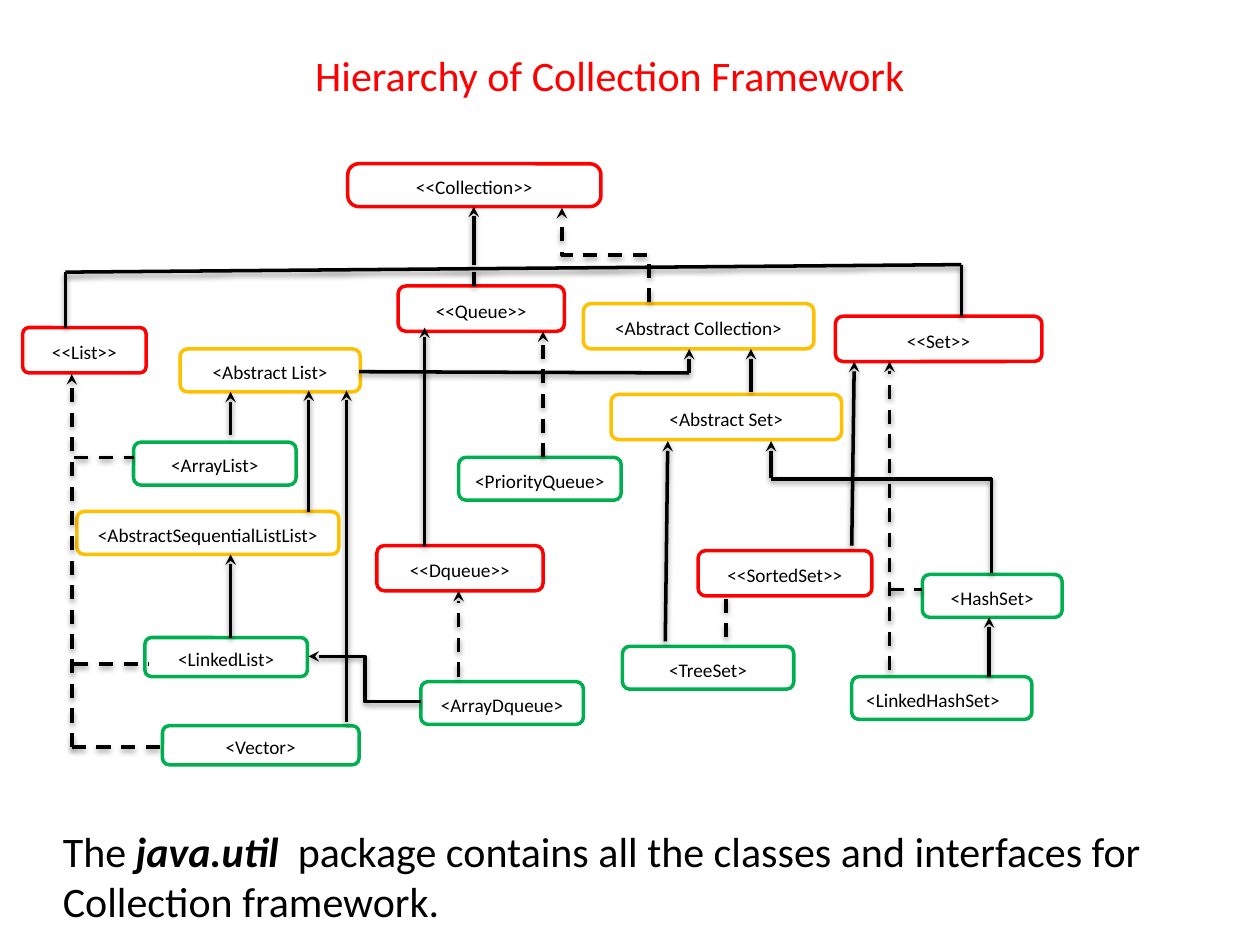
import pptx
import pptx.util
import pptx.dml.color
import pptx.enum.dml
import pptx.enum.shapes
import pptx.enum.text
import pptx.oxml
import pptx.oxml.ns

Inches, Pt = pptx.util.Inches, pptx.util.Pt
RGBColor = pptx.dml.color.RGBColor
CONNECTOR = pptx.enum.shapes.MSO_CONNECTOR
ALIGN = pptx.enum.text.PP_ALIGN
ANCHOR = pptx.enum.text.MSO_ANCHOR

RED = RGBColor(0xFF, 0x00, 0x00)
AMBER = RGBColor(0xFF, 0xC0, 0x00)
GREEN = RGBColor(0x00, 0xB0, 0x50)
BLACK = RGBColor(0x00, 0x00, 0x00)
WHITE = RGBColor(0xFF, 0xFF, 0xFF)

SHADOW = (
    f'<a:effectLst {pptx.oxml.ns.nsdecls("a")}>'
    '<a:outerShdw blurRad="40000" dist="20000" dir="5400000" rotWithShape="0">'
    '<a:srgbClr val="000000"><a:alpha val="38000"/></a:srgbClr>'
    '</a:outerShdw></a:effectLst>'
)
ARROWHEAD = f'<a:tailEnd {pptx.oxml.ns.nsdecls("a")} type="stealth"/>'


def add_run(p, text, size, color):
    r = p.add_run()
    r.text = text
    r.font.name = "Calibri"
    r.font.size = Pt(size)
    r.font.color.rgb = color
    return r


def add_line(x1, y1, x2, y2, arrow=False, dashed=False, kind=CONNECTOR.STRAIGHT):
    s = slide.shapes.add_connector(kind, Inches(x1), Inches(y1), Inches(x2), Inches(y2))
    s.line.color.rgb = BLACK
    s.line.width = Pt(2)
    if dashed:
        s.line.dash_style = pptx.enum.dml.MSO_LINE.DASH
    if arrow:
        s.line._get_or_add_ln().append(pptx.oxml.parse_xml(ARROWHEAD))
    s._element.spPr.append(pptx.oxml.parse_xml(SHADOW))
    return s


prs = pptx.Presentation()
prs.slide_width, prs.slide_height = Inches(10), Inches(7.5)
slide = prs.slides.add_slide(prs.slide_layouts[5])

# Title
s = slide.shapes.title
s.left, s.top, s.width, s.height = Inches(2.05), Inches(0.34), Inches(5.58), Inches(0.5)
tf = s.text_frame
tf.auto_size = pptx.enum.text.MSO_AUTO_SIZE.NONE
tf.vertical_anchor = ANCHOR.TOP
p = tf.paragraphs[0]
p.alignment = ALIGN.CENTER
add_run(p, "Hierarchy of Collection Framework", 24, RED)

# Type boxes: red for interfaces, amber for abstract classes, green for classes
boxes = [
    ("<<Collection>>", 2.76, 1.3, 2.01, 0.34, RED),
    ("<<List>>", 0.18, 2.6, 0.98, 0.36, RED),
    ("<<Queue>>", 3.16, 2.27, 1.32, 0.36, RED),
    ("<<Set>>", 6.63, 2.51, 1.64, 0.36, RED),
    ("<<Dqueue>>", 2.99, 4.33, 1.32, 0.36, RED),
    ("<<SortedSet>>", 5.54, 4.37, 1.38, 0.36, RED),
    ("<Abstract Collection>", 4.63, 2.41, 1.83, 0.36, AMBER),
    ("<Abstract List>", 1.43, 2.77, 1.43, 0.34, AMBER),
    ("<AbstractSequentialListList>", 0.61, 4.06, 2.08, 0.34, AMBER),
    ("<Abstract Set>", 4.85, 3.13, 1.83, 0.36, AMBER),
    ("<ArrayList>", 1.06, 3.51, 1.29, 0.34, GREEN),
    ("<LinkedList>", 1.15, 5.06, 1.29, 0.31, GREEN),
    ("<Vector>", 1.29, 5.76, 1.56, 0.31, GREEN),
    ("<PriorityQueue>", 3.64, 3.63, 1.29, 0.34, GREEN),
    ("<ArrayDqueue>", 3.34, 5.41, 1.29, 0.34, GREEN),
    ("<HashSet>", 7.32, 4.56, 1.11, 0.34, GREEN),
    ("<LinkedHashSet>", 6.76, 5.37, 1.43, 0.34, GREEN),
    ("<TreeSet>", 4.94, 5.13, 1.36, 0.34, GREEN),
]
corners = {"<<Collection>>": 0.26, "<<List>>": 0.14}
for name, x, y, w, h, color in boxes:
    s = slide.shapes.add_shape(pptx.enum.shapes.MSO_SHAPE.ROUNDED_RECTANGLE,
                               Inches(x), Inches(y), Inches(w), Inches(h))
    s.adjustments[0] = corners.get(name, 0.17)
    s.shadow.inherit = False
    s.fill.solid()
    s.fill.fore_color.rgb = WHITE
    s.line.color.rgb = color
    s.line.width = Pt(2)
    tf = s.text_frame
    tf.word_wrap = True
    tf.vertical_anchor = ANCHOR.MIDDLE
    p = tf.paragraphs[0]
    p.alignment = ALIGN.LEFT if name == "<LinkedHashSet>" else ALIGN.CENTER
    p.line_spacing = 1.15
    add_run(p, name, 11, BLACK)

# Solid arrows: extends
for ends in [
    (3.76, 2.1, 3.76, 1.64),    # Queue, List and Set to Collection
    (3.37, 4.33, 3.37, 2.6),    # Dqueue to Queue
    (6.76, 4.33, 6.78, 2.87),   # SortedSet to Set
    (5.47, 2.96, 5.47, 2.77),   # Abstract List to Abstract Collection
    (5.96, 3.11, 5.96, 2.77),   # Abstract Set to Abstract Collection
    (1.83, 3.45, 1.83, 3.11),   # ArrayList to Abstract List
    (2.45, 4.06, 2.45, 3.1),    # AbstractSequentialListList to Abstract List
    (2.75, 5.73, 2.75, 3.1),    # Vector to Abstract List
    (1.83, 5.06, 1.83, 4.4),    # LinkedList to AbstractSequentialListList
    (6.12, 3.79, 6.12, 3.5),    # HashSet to Abstract Set
    (5.28, 5.09, 5.3, 3.5),     # TreeSet to Abstract Set
    (7.85, 5.37, 7.85, 4.9),    # LinkedHashSet to HashSet
]:
    add_line(*ends, arrow=True)

# Solid branches that lead to the arrows
for ends in [
    (0.52, 2.16, 7.63, 2.1), (0.52, 2.6, 0.52, 2.16), (7.63, 2.1, 7.63, 2.51),
    (3.76, 2.16, 3.76, 2.27), (2.85, 2.95, 5.47, 2.96),
    (6.12, 3.8, 7.87, 3.8), (7.87, 3.79, 7.87, 4.55),
]:
    add_line(*ends)

# Dashed arrows: implements
for ends in [
    (0.57, 5.93, 0.57, 2.97),   # list classes to List
    (4.31, 3.63, 4.31, 2.63),   # PriorityQueue to Queue
    (3.64, 5.37, 3.64, 4.69),   # ArrayDqueue to Dqueue
    (7.06, 5.32, 7.06, 2.87),   # set classes to Set
]:
    add_line(*ends, arrow=True, dashed=True)

# Dashed branches
for ends in [
    (0.59, 3.63, 1.06, 3.63), (0.59, 5.27, 1.18, 5.27), (0.57, 5.93, 1.29, 5.93),
    (7.06, 4.68, 7.32, 4.68), (5.76, 4.75, 5.76, 5.06),
]:
    add_line(*ends, dashed=True)

# Elbow arrows: ArrayDqueue to LinkedList, Abstract Collection to Collection
add_line(3.34, 5.57, 2.45, 5.21, arrow=True, kind=CONNECTOR.ELBOW)
s = add_line(5.18, 1.68, 4.43, 2.37, arrow=True, dashed=True, kind=CONNECTOR.ELBOW)
s._element.spPr.find(pptx.oxml.ns.qn("a:xfrm")).set("rot", "5400000")  # quarter turn

# Closing sentence
s = slide.shapes.add_textbox(Inches(0.4), Inches(6.5), Inches(8.91), Inches(0.91))
tf = s.text_frame
tf.word_wrap = True
p = tf.paragraphs[0]
add_run(p, "The", 24, BLACK)
r = add_run(p, " java.util  ", 24, BLACK)
r.font.bold = r.font.italic = True
add_run(p, "package contains all the classes and interfaces for Collection framework.", 24, BLACK)

prs.save("out.pptx")
